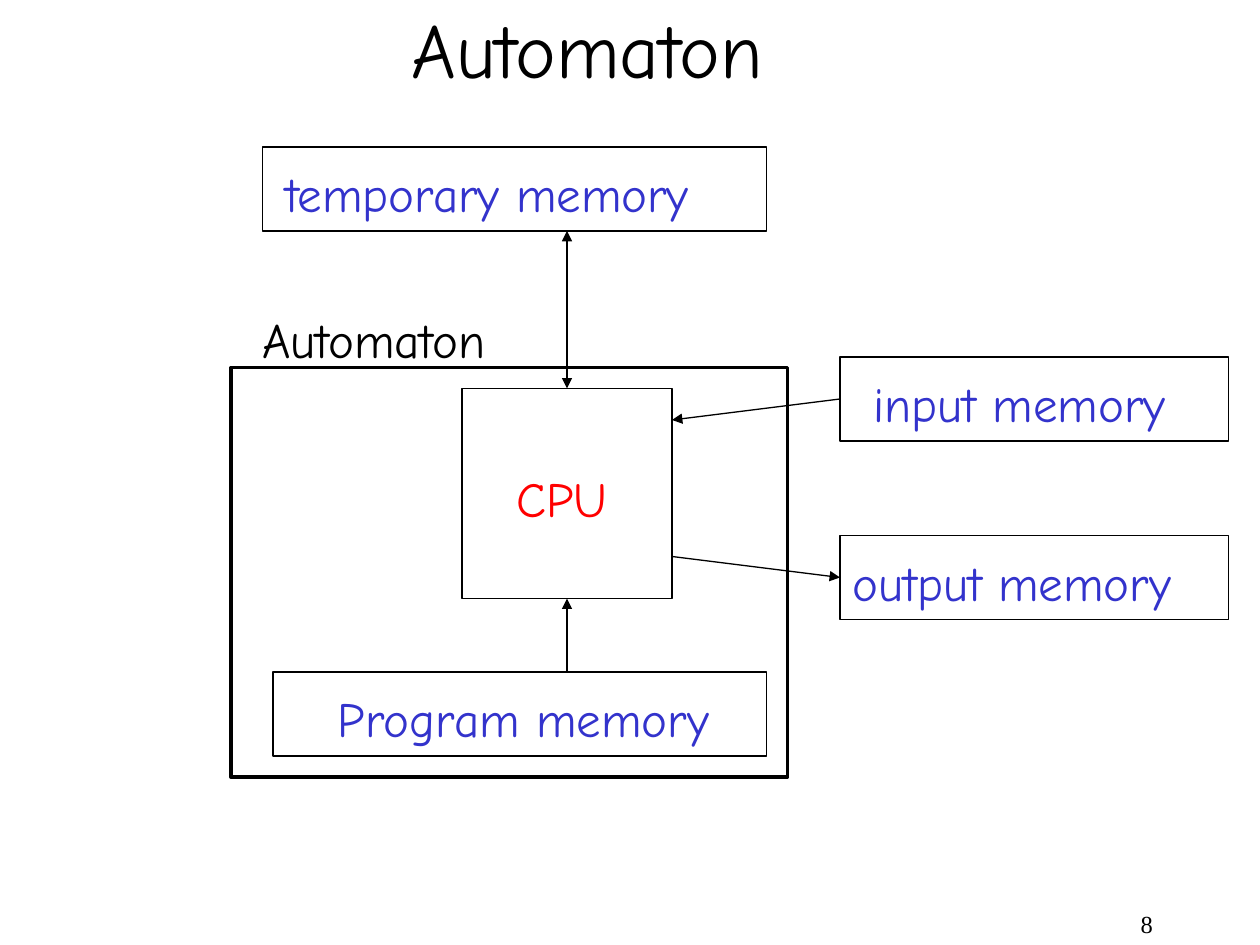
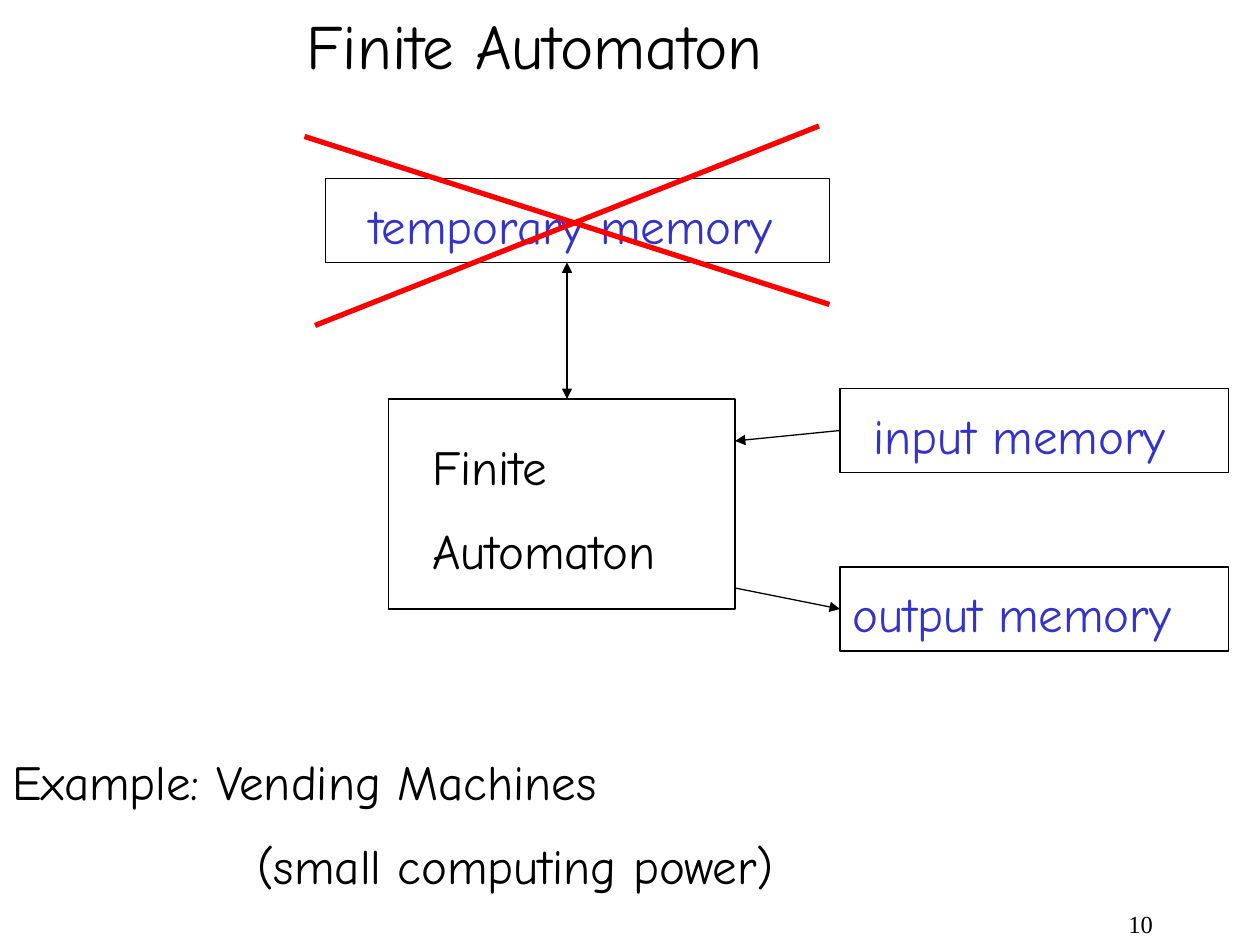
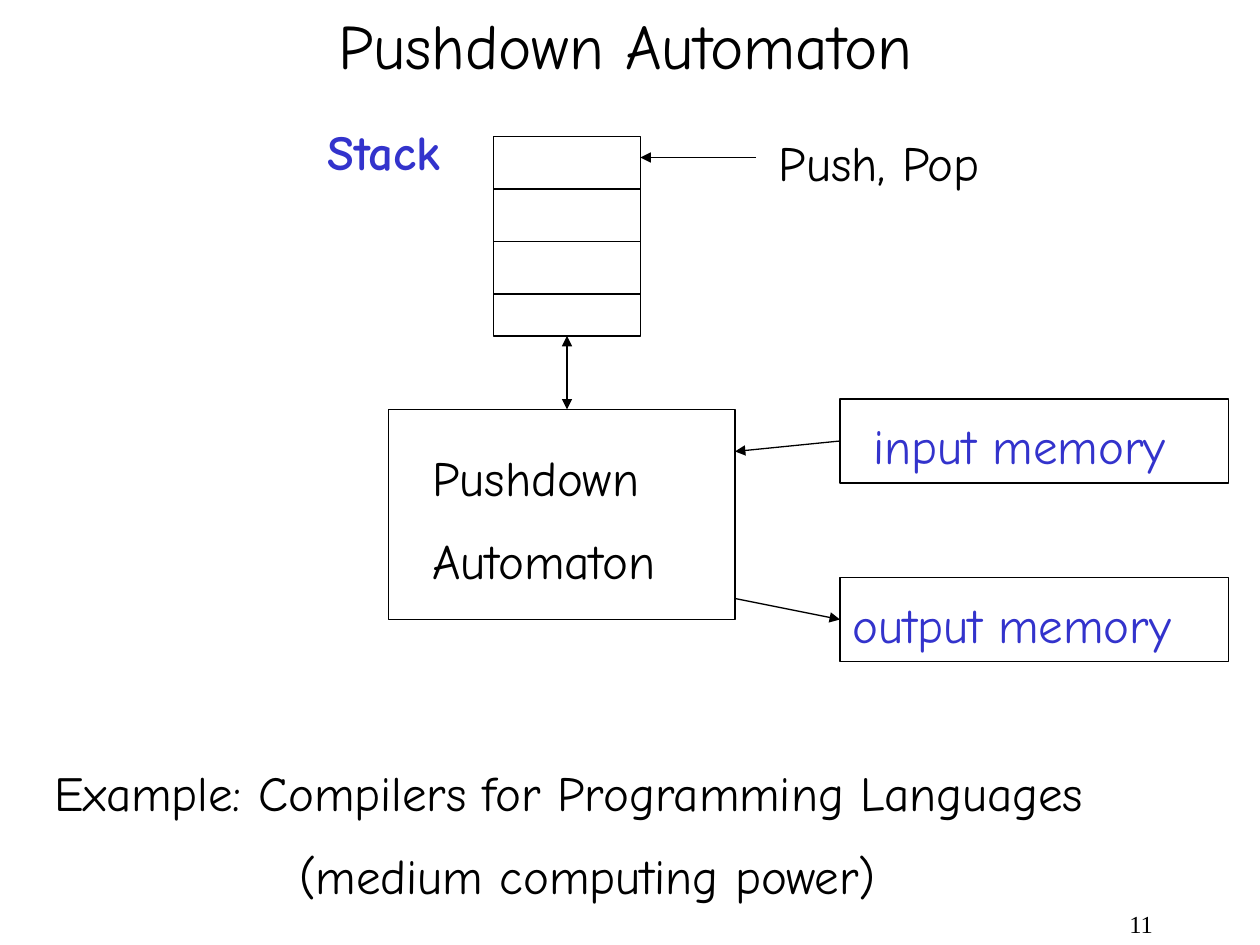
from lxml import etree
from pptx import Presentation
from pptx import util as u
from pptx.dml.color import RGBColor
from pptx.enum import shapes, text
from pptx.oxml.ns import qn

PX = 7620  # EMU per px, 120 px to the inch
BLACK, BLUE, RED = "000000", "3333CC", "FF0000"
FONT, SERIF = "Comic Neue", "Times New Roman"
MID = 540  # x of the vertical arrows


def color(code):
    return RGBColor.from_string(code)


def emu(*vals):
    return [u.Emu(v * PX) for v in vals]


class Deck:
    def __init__(self):
        self.prs = Presentation()
        self.prs.slide_width, self.prs.slide_height = emu(1200, 900)

    def page(self, num):
        self.slide = self.prs.slides.add_slide(self.prs.slide_layouts[5])
        self.label(str(num), 860, 860, 250, 40, size=14, font=SERIF,
                   align=text.PP_ALIGN.RIGHT)

    def style(self, shape, words, size, ink=BLACK, font=FONT, bold=False,
              align=text.PP_ALIGN.LEFT, indent=0):
        frame = shape.text_frame
        frame.text = words
        frame.word_wrap = True
        frame.auto_size = text.MSO_AUTO_SIZE.NONE
        frame.vertical_anchor = text.MSO_ANCHOR.TOP
        for i, para in enumerate(frame.paragraphs):
            para.alignment = align
            if i:
                para.space_before = u.Pt(size / 2)
                if indent:
                    props = para._p.get_or_add_pPr()
                    props.set("marL", str(indent * PX))
                    props.set("indent", "0")
            for run in para.runs:
                run.font.size = u.Pt(size)
                run.font.name = font
                run.font.bold = bold
                run.font.color.rgb = color(ink)

    def title(self, words, x, y, w, h=84, size=36):
        shape = self.slide.shapes.title
        shape.left, shape.top, shape.width, shape.height = emu(x, y, w, h)
        self.style(shape, words, size)

    def label(self, words, x, y, w, h=68, size=28, **look):
        shape = self.slide.shapes.add_textbox(*emu(x, y, w, h))
        self.style(shape, words, size, **look)

    def box(self, x, y, w, h=80, width=0.75):
        shape = self.slide.shapes.add_shape(
            shapes.MSO_SHAPE.RECTANGLE, *emu(x, y, w, h))
        shape.shadow.inherit = False
        shape.fill.background()
        shape.line.color.rgb = color(BLACK)
        shape.line.width = u.Pt(width)

    def line(self, x1, y1, x2, y2, ends=(), ink=BLACK, width=0.75):
        link = self.slide.shapes.add_connector(
            shapes.MSO_CONNECTOR.STRAIGHT, *emu(x1, y1, x2, y2))
        link.line.color.rgb = color(ink)
        link.line.width = u.Pt(width)
        for end in ends:
            etree.SubElement(link.line._ln, qn(f"a:{end}"), type="triangle")
        etree.SubElement(link._element.spPr, qn("a:effectLst"))

    def arrow(self, x1, y1, x2, y2):
        self.line(x1, y1, x2, y2, ["tailEnd"])

    def both(self, y1, y2):
        self.line(MID, y1, MID, y2, ["headEnd", "tailEnd"])

    def store(self, words, x, y, w, dx, span):
        """A memory box with its label set in by dx."""
        self.box(x, y, w)
        self.label(words, x + dx, y + 10, span, ink=BLUE)

    def ports(self, top, edge, drop):
        """Input and output memory, linked to the unit's right edge."""
        self.store("input memory", 800, top, 370, 20, 317)
        self.store("output memory", 800, top + 170, 370, 0, 349)
        self.arrow(800, top + 40, edge, top + drop)
        self.arrow(edge, top + 190, 800, top + 210)

    def unit(self, name, top, example, x, w):
        """A named automaton with its ports and its example."""
        self.ports(top, 700, 50)
        self.box(370, top + 10, 330, 200)
        self.label(f"{name}\nAutomaton", 400, top + 40, 260, 152)
        self.label(example, x, top + 340, w, 152, indent=233)


def main():
    deck = Deck()

    # General automaton
    deck.page(8)
    deck.title("Automaton", 380, -5, 395, 100, size=44)
    deck.box(220, 350, 530, 390, width=2)
    deck.label("Automaton", 238, 289, 260)
    deck.box(440, 370, 200, 200)
    deck.label("CPU", 480, 440, 112, ink=RED)
    deck.store("temporary memory", 250, 140, 480, 10, 434)
    deck.store("Program memory", 260, 640, 470, 50, 386)
    deck.ports(340, 640, 60)
    deck.both(220, 370)
    deck.arrow(MID, 640, MID, 570)

    # Finite automaton, with its temporary memory crossed out
    deck.page(10)
    deck.title("Finite Automaton", 280, 0, 509)
    deck.store("temporary memory", 310, 170, 480, 30, 434)
    deck.both(250, 380)
    deck.unit("Finite", 370,
              "Example: Vending Machines\n(small computing power)", 0, 752)
    for cross in ((290, 130, 790, 290), (300, 310, 780, 120)):
        deck.line(*cross, ink=RED, width=3)

    # Pushdown automaton, with a stack
    deck.page(11)
    deck.title("Pushdown Automaton", 310, 0, 611)
    deck.label("Stack", 300, 110, 154, ink=BLUE, bold=True)
    deck.box(470, 130, 140, 190)
    for y in range(180, 320, 50):
        deck.line(470, y, 610, y)
    deck.arrow(720, 150, 610, 150)
    deck.label("Push, Pop", 730, 120, 223)
    deck.both(320, 390)
    deck.unit("Pushdown", 380,
              "Example: Compilers for Programming Languages\n"
              "(medium computing power)", 40, 1081)

    deck.prs.save("out.pptx")


if __name__ == "__main__":
    main()
